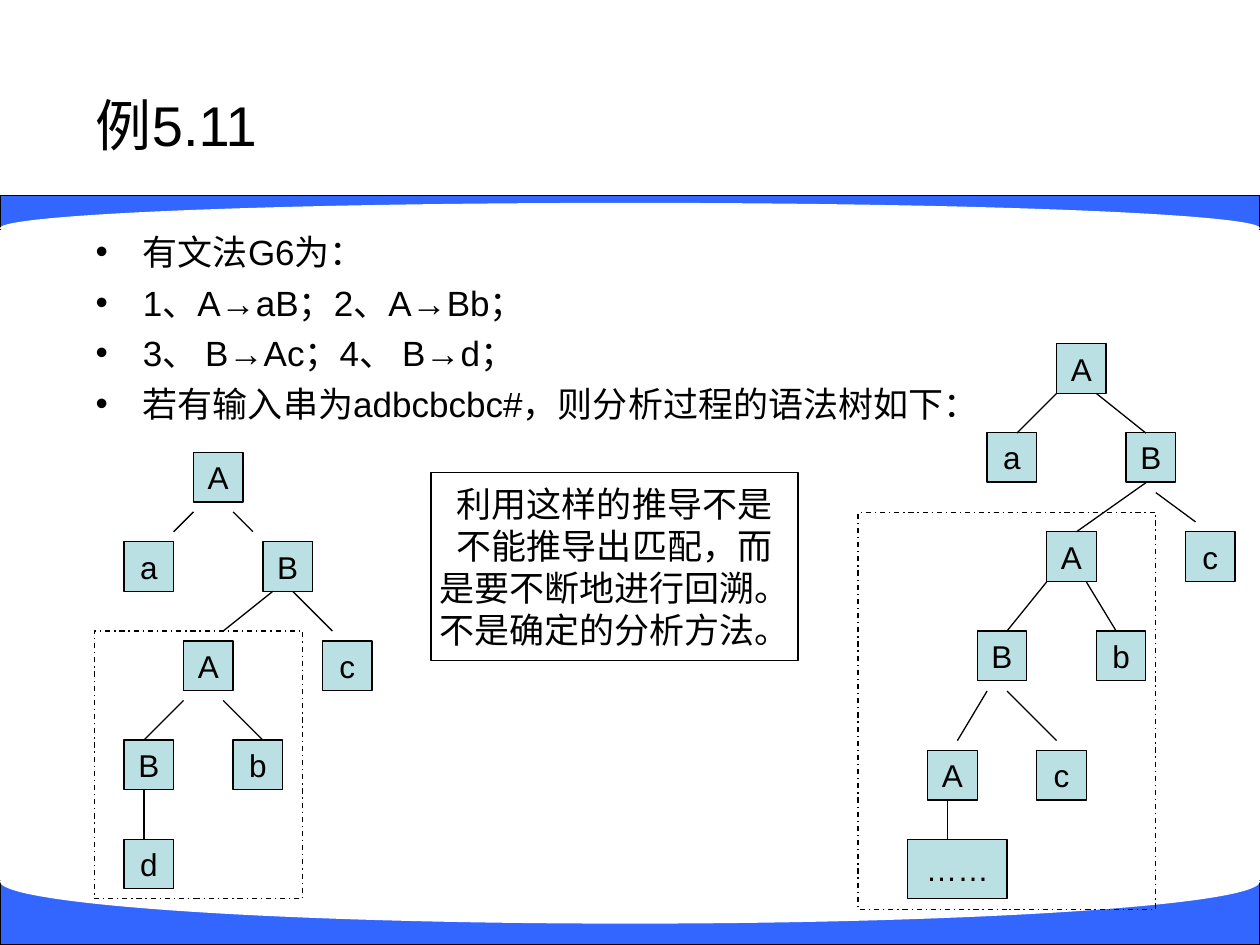
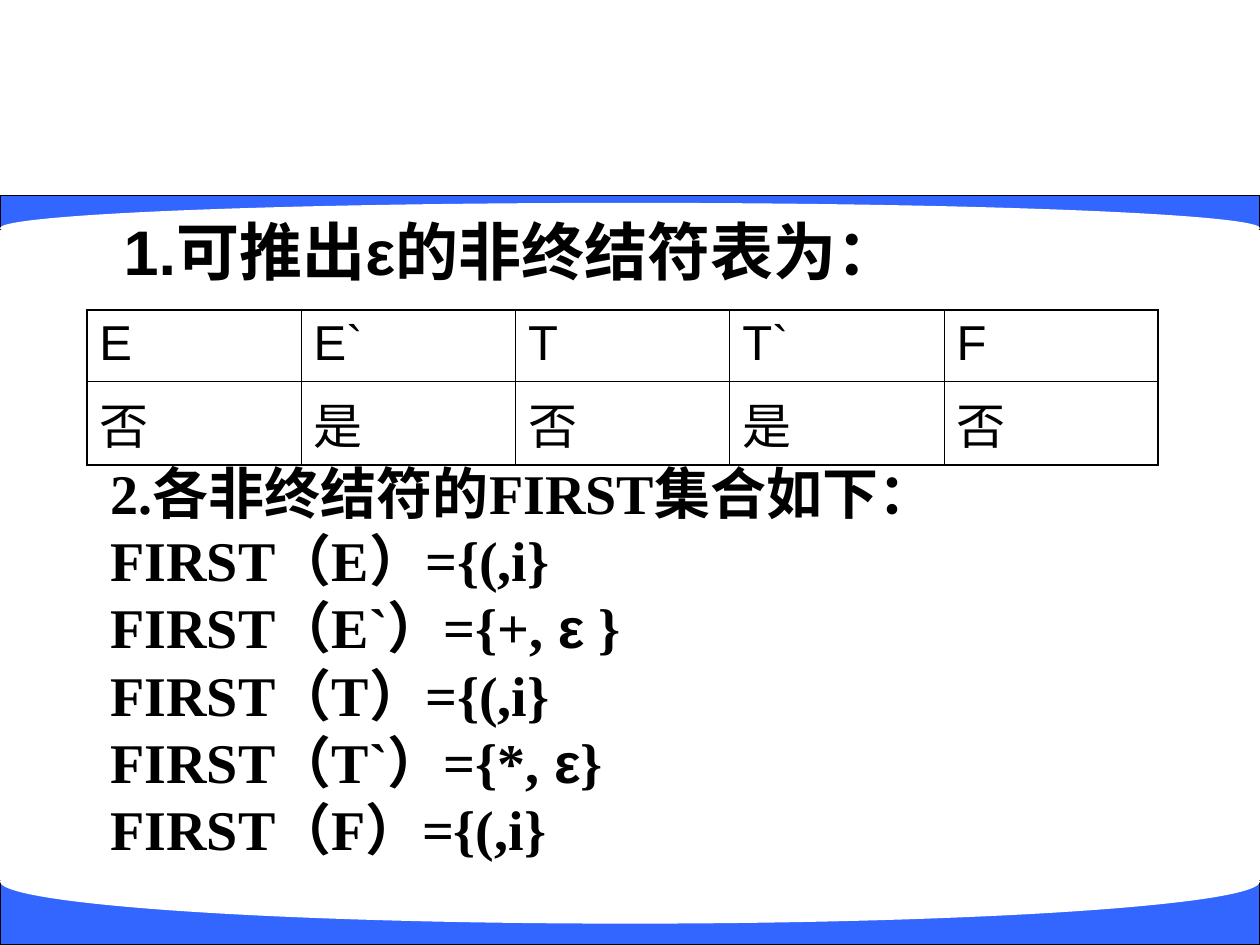
from lxml import etree
from pptx import Presentation
from pptx import util as u
from pptx.dml.color import RGBColor
from pptx.enum import dml, shapes, text
from pptx.oxml.ns import qn

BLUE = RGBColor(0x33, 0x66, 0xFF)
TEAL = RGBColor(0xBB, 0xE0, 0xE3)
WHITE = RGBColor(0xFF, 0xFF, 0xFF)
BLACK = RGBColor(0, 0, 0)
SANS, SERIF = "Arial", "Times New Roman"
RECT, OVAL = shapes.MSO_SHAPE.RECTANGLE, shapes.MSO_SHAPE.OVAL
LEFT, CENTER = text.PP_ALIGN.LEFT, text.PP_ALIGN.CENTER
MIDDLE = text.MSO_ANCHOR.MIDDLE

# Text formats
TITLE = {"name": SANS, "size": u.Pt(32), "bold": False}
BIG_TITLE = {"name": SANS, "size": u.Pt(36), "bold": True}
BODY = {"name": SANS, "size": u.Pt(20)}
NODE = {"name": SANS, "size": u.Pt(18)}
CELL = {"name": SANS, "size": u.Pt(28)}
SETS = {"name": SERIF, "size": u.Pt(32), "bold": True}

# Shared bands, in cm: (preset, top, height, fill)
BANDS = [
    (RECT, 3.94, 0.69, BLUE), (OVAL, 4.09, 1.02, WHITE),
    (RECT, 17.75, 1.3, BLUE), (OVAL, 16.92, 1.7, WHITE),
]

# Content of the syntax tree slide
GRAMMAR = [
    "有文法G6为：",
    "1、A→aB；2、A→Bb；",
    "3、 B→Ac；4、 B→d；",
    "若有输入串为adbcbcbc#，则分析过程的语法树如下：",
]
REMARK = ["利用这样的推导不是", "不能推导出匹配，而", "是要不断地进行回溯。", "不是确定的分析方法。"]

# Trees, in cm. levels: top -> (label, left); branches: (from y, to y, [(from x, to x)])
NODE_SIZE = (1, 1)
WIDE_NODE = {"……": (2, 1.2)}
TREES = [
    {
        "levels": {
            9.12: [("A", 3.9)],
            10.92: [("a", 2.5), ("B", 5.3)],
            12.92: [("A", 3.7), ("c", 6.5)],
            14.92: [("B", 2.5), ("b", 4.7)],
            16.92: [("d", 2.5)],
        },
        "frame": (1.9, 12.72, 4.2, 5.4),
        "branches": [
            (10.32, 10.72, [(3.9, 3.5), (4.7, 5.1)]),
            (11.92, 12.72, [(5.5, 4.5), (5.9, 6.7)]),
            (14.12, 14.92, [(3.7, 2.9), (4.5, 5.3)]),
            (15.92, 16.92, [(2.9, 2.9)]),
        ],
    },
    {
        "levels": {
            6.93: [("A", 21.3)],
            8.72: [("a", 19.9), ("B", 22.7)],
            10.72: [("A", 21.1), ("c", 23.9)],
            12.72: [("B", 19.7), ("b", 22.1)],
            15.13: [("A", 18.7), ("c", 20.9)],
            16.92: [("……", 18.3)],
        },
        "frame": (17.3, 10.33, 6, 8),
        "branches": [
            (7.93, 8.73, [(21.3, 20.5), (22.1, 23.1)]),
            (9.73, 10.72, [(23.1, 21.7)]),
            (9.93, 10.52, [(23.3, 24.1)]),
            (11.73, 12.72, [(21.1, 20.3), (21.9, 22.5)]),
            (13.93, 14.93, [(19.9, 19.3), (20.3, 21.3)]),
            (16.13, 16.92, [(19.1, 19.1)]),
        ],
    },
]

# Content of the FIRST set slide; a run is text or (text, font)
EMPTY_TITLE = ["1.可推出ε", ("的非终结符表为：", SERIF)]
EMPTY_TABLE = [["E", "E`", "T", "T`", "F"], ["否", "是", "否", "是", "否"]]
FIRST_SETS = [
    ["2.各非终结符的FIRST集合如下："],
    ["FIRST（E）={(,i}"],
    ["FIRST（E`）={+, ", ("ε", SANS), " }"],
    ["FIRST（T）={(,i}"],
    ["FIRST（T`）={*, ", ("ε", SANS), "}"],
    ["FIRST（F）={(,i}"],
]


def cm(*lengths):
    return [u.Cm(length) for length in lengths]


def write(frame, lines, style, align=LEFT, wrap=True, anchor=text.MSO_ANCHOR.TOP):
    """Fill a text frame; each line is a string or a list of runs."""
    settings = {"word_wrap": wrap, "vertical_anchor": anchor,
                "auto_size": text.MSO_AUTO_SIZE.NONE}
    for name, value in settings.items():
        setattr(frame, name, value)
    for index, line in enumerate(lines):
        para = frame.add_paragraph() if index else frame.paragraphs[0]
        para.alignment = align
        for part in [line] if isinstance(line, str) else line:
            words, font_name = (part, style["name"]) if isinstance(part, str) else part
            span = para.add_run()
            span.text = words
            for name, value in {**style, "name": font_name}.items():
                setattr(span.font, name, value)
            span.font.color.rgb = BLACK


def add_box(parent, preset, place, fill=None, outlined=True):
    box = parent.add_shape(preset, *cm(*place))
    box.shadow.inherit = False
    if fill is None:
        box.fill.background()
    else:
        box.fill.solid()
        box.fill.fore_color.rgb = fill
    if outlined:
        box.line.color.rgb = BLACK
        box.line.width = u.Pt(0.75)
    else:
        box.line.fill.background()
    return box


def add_branch(parent, start, end):
    line = parent.add_connector(shapes.MSO_CONNECTOR.STRAIGHT, *cm(*start, *end))
    line.line.color.rgb = BLACK
    line.line.width = u.Pt(0.75)
    etree.SubElement(line._element.spPr, qn("a:effectLst"))


def add_tree(page, tree):
    parts = page.shapes.add_group_shape().shapes
    for top, nodes in tree["levels"].items():
        for label, left in nodes:
            size = WIDE_NODE.get(label, NODE_SIZE)
            node = add_box(parts, RECT, (left, top, *size), TEAL)
            write(node.text_frame, [label], NODE, CENTER, False, MIDDLE)
    frame = add_box(parts, RECT, tree["frame"])
    frame.line.dash_style = dml.MSO_LINE.DASH_DOT
    for y1, y2, spans in tree["branches"]:
        for x1, x2 in spans:
            add_branch(parts, (x1, y1), (x2, y2))


def add_bands(page):
    """Draw the bands once and hand them to the layout behind all pages."""
    group = page.shapes.add_group_shape()
    for preset, top, height, fill in BANDS:
        add_box(group.shapes, preset, (0, top, 25.4, height), fill, preset == RECT)
    page.slide_layout.shapes._spTree.insert(2, group._element)


def set_title(page, place, line, style, align=LEFT):
    title = page.shapes.title
    title.left, title.top, title.width, title.height = cm(*place)
    write(title.text_frame, [line], style, align, True, MIDDLE)


def add_text(page, place, lines, style, wrap=True):
    box = page.shapes.add_textbox(*cm(*place))
    write(box.text_frame, lines, style, wrap=wrap)
    return box.text_frame


def add_bullets(frame):
    for index, para in enumerate(frame.paragraphs):
        para.space_before = u.Pt(5 if index else 0)
        properties = para._p.get_or_add_pPr()
        properties.set("marL", str(u.Cm(0.95)))
        properties.set("indent", str(-u.Cm(0.95)))
        etree.SubElement(properties, qn("a:buFont"), typeface=SANS)
        etree.SubElement(properties, qn("a:buChar"), char="•")


def set_borders(cell, outer_sides):
    """Outer edges are thicker than the inner grid."""
    properties = cell._tc.get_or_add_tcPr()
    for index, side in enumerate("LRTB"):
        width = u.Pt(1.08 if side in outer_sides else 0.45)
        line = etree.Element(qn(f"a:ln{side}"), w=str(width))
        fill = etree.SubElement(line, qn("a:solidFill"))
        etree.SubElement(fill, qn("a:srgbClr"), val=str(BLACK))
        properties.insert(index, line)


def add_grid(page, place, rows):
    last_row, last_column = len(rows) - 1, len(rows[0]) - 1
    table = page.shapes.add_table(len(rows), len(rows[0]), *cm(*place)).table
    table.first_row = table.horz_banding = False
    for r, row in enumerate(rows):
        for c, value in enumerate(row):
            cell = table.cell(r, c)
            cell.fill.background()
            write(cell.text_frame, [value], CELL)
            edges = {"L": c == 0, "R": c == last_column, "T": r == 0, "B": r == last_row}
            set_borders(cell, [side for side, outer in edges.items() if outer])


def build_tree_page(page):
    set_title(page, (1.68, 1.73, 23.72, 1.55), "例5.11", TITLE)
    add_bullets(add_text(page, (1.68, 4.52, 19.23, 4.2), GRAMMAR, BODY))
    for tree in TREES:
        add_tree(page, tree)
    remark = add_box(page.shapes, RECT, (8.69, 9.52, 7.4, 3.8))
    write(remark.text_frame, REMARK, BODY, CENTER, False, MIDDLE)


def build_first_page(page):
    set_title(page, (1, 4.32, 18.62, 1.47), EMPTY_TITLE, BIG_TITLE, CENTER)
    add_grid(page, (1.75, 6.25, 21.6, 2.88), EMPTY_TABLE)
    frame = add_text(page, (1.98, 9.12, 17.93, 8.38), FIRST_SETS, SETS, wrap=False)
    frame.auto_size = text.MSO_AUTO_SIZE.SHAPE_TO_FIT_TEXT


def main():
    deck = Presentation()
    deck.slide_width, deck.slide_height = cm(25.4, 19.05)
    layout = deck.slide_layouts.get_by_name("Title Only")
    tree_page, first_page = [deck.slides.add_slide(layout) for _ in range(2)]
    add_bands(tree_page)
    build_tree_page(tree_page)
    build_first_page(first_page)
    deck.save("out.pptx")


if __name__ == "__main__":
    main()
